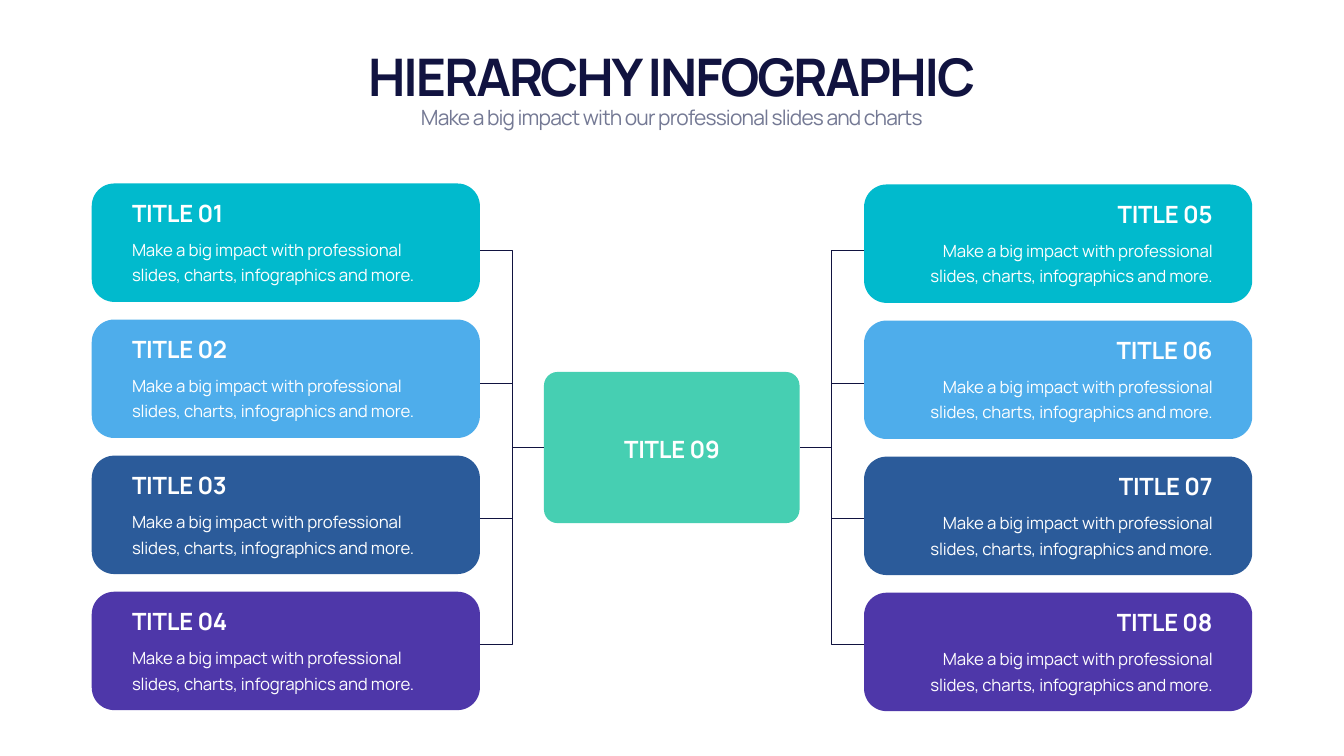
import pptx
import pptx.dml.color
import pptx.enum.shapes
import pptx.enum.text
import pptx.oxml.xmlchemy
import pptx.util
from lxml import etree
from pptx.oxml import ns

Inches = pptx.util.Inches
Pt = pptx.util.Pt
RGBColor = pptx.dml.color.RGBColor
Align = pptx.enum.text.PP_ALIGN
Anchor = pptx.enum.text.MSO_ANCHOR

FONT = "Manrope"
NAVY = RGBColor(0x11, 0x13, 0x40)
GRAY = RGBColor(0x74, 0x79, 0x94)
WHITE = RGBColor(0xFF, 0xFF, 0xFF)
GREEN = RGBColor(0x46, 0xCF, 0xB2)
CARD_COLORS = [
    RGBColor(0x01, 0xBA, 0xCD),
    RGBColor(0x4E, 0xAD, 0xEB),
    RGBColor(0x2B, 0x5B, 0x9A),
    RGBColor(0x4E, 0x37, 0xA9),
]
CARD_TEXT = "Make a big impact with professional slides, charts, infographics and more."
CARD_WIDTH, CARD_HEIGHT, CARD_PITCH = 7.7, 2.35, 2.7
BRACKET_TOP, BRACKET_BOTTOM = 4.97, 12.79
BRANCH_LEVELS = [7.61, 10.28]
CENTER_LEVEL = 8.88


def write_text(slide, text, box, shape=None, size=34, color=WHITE, bold=False, align=Align.LEFT,
               anchor=Anchor.MIDDLE, spacing=-0.3, line_spacing=None, inset=0):
    """Write one paragraph in a new text box, or in the given shape, placed at box."""
    left, top, width, height = map(Inches, box)
    if shape is None:
        shape = slide.shapes.add_textbox(left, top, width, height)
    shape.left, shape.top, shape.width, shape.height = left, top, width, height
    frame = shape.text_frame
    frame.word_wrap = True
    frame.auto_size = pptx.enum.text.MSO_AUTO_SIZE.NONE
    frame.vertical_anchor = anchor
    frame.margin_top = frame.margin_bottom = Inches(inset)
    paragraph = frame.paragraphs[0]
    paragraph.alignment = align
    if line_spacing:
        paragraph.line_spacing = Pt(line_spacing)
    run = paragraph.add_run()
    run.text = text
    run.font.name = FONT
    run.font.size = Pt(size)
    run.font.bold = bold
    run.font.color.rgb = color
    run.font._element.set("spc", str(round(spacing * 100)))


def add_panel(slide, box, color, rounding):
    """Add a filled rounded rectangle and return it."""
    shape = slide.shapes.add_shape(
        pptx.enum.shapes.MSO_SHAPE.ROUNDED_RECTANGLE, *map(Inches, box))
    shape.adjustments[0] = rounding
    shape.shadow.inherit = False
    shape.fill.solid()
    shape.fill.fore_color.rgb = color
    shape.line.fill.background()
    return shape


def style_line(shape):
    """Give a connector or outline the thin navy stroke."""
    shape.line.color.rgb = NAVY
    shape.line.width = Pt(1)


def add_line(slide, start_x, end_x, level):
    """Add a horizontal connector and return it."""
    connector = slide.shapes.add_connector(
        pptx.enum.shapes.MSO_CONNECTOR.STRAIGHT,
        Inches(start_x), Inches(level), Inches(end_x), Inches(level))
    style_line(connector)
    etree.SubElement(connector._element.spPr, ns.qn("a:effectLst"))
    return connector


def add_header(slide, box):
    """Fill the title placeholder and add the subtitle below it."""
    left, top, width, height = box
    write_text(slide, "HIERARCHY INFOGRAPHIC", box, shape=slide.shapes.title, size=74,
               color=NAVY, bold=True, align=Align.CENTER, spacing=-2.9)
    write_text(slide, "Make a big impact with our professional slides and charts",
               (left, top + 1.25, width, 0.61), size=30, color=GRAY, align=Align.CENTER,
               anchor=Anchor.TOP, spacing=-1.2)


def add_center(slide, box):
    """Add the central panel with its label and return the panel."""
    left, top, width, height = box
    panel = add_panel(slide, box, GREEN, 0.09)
    write_text(slide, "TITLE 09", (left + 0.29, top + 1.19, width - 0.57, 0.67),
               bold=True, align=Align.CENTER)
    return panel


def add_card(slide, box, number, color, align):
    """Add one coloured card with its heading and description."""
    left, top, width, height = box
    add_panel(slide, box, color, 0.19)
    write_text(slide, f"TITLE {number:02}", (left + 0.7, top + 0.25, width - 1.39, 0.67),
               bold=True, align=align)
    write_text(slide, CARD_TEXT, (left + 0.7, top + 0.97, width - 1.39, 1.09), size=24,
               align=align, anchor=Anchor.TOP, spacing=-0.2, line_spacing=36, inset=0.05)


def add_column(slide, left, top, first_number, align):
    """Stack four cards downward from the given corner."""
    for index, color in enumerate(CARD_COLORS):
        box = (left, top + index * CARD_PITCH, CARD_WIDTH, CARD_HEIGHT)
        add_card(slide, box, first_number + index, color, align)


def add_bracket(slide, card_x, trunk_x, center_x, center, site):
    """Join a column of cards to the given side of the central panel."""
    corners = [(trunk_x, BRACKET_BOTTOM), (trunk_x, BRACKET_TOP), (card_x, BRACKET_TOP)]
    builder = slide.shapes.build_freeform(Inches(card_x), Inches(BRACKET_BOTTOM))
    builder.add_line_segments([(Inches(x), Inches(y)) for x, y in corners], close=False)
    bracket = builder.convert_to_shape()
    bracket.shadow.inherit = False
    bracket.fill.background()
    style_line(bracket)
    for level in BRANCH_LEVELS:
        add_line(slide, card_x, trunk_x, level)
    add_line(slide, trunk_x, center_x, CENTER_LEVEL).end_connect(center, site)


def main():
    """Build the hierarchy slide and save it."""
    presentation = pptx.Presentation()
    presentation.slide_width = Inches(26.66)
    presentation.slide_height = Inches(15)
    slide = presentation.slides.add_slide(presentation.slide_layouts[5])
    add_header(slide, (1.66, 0.82, 23.33, 1.35))
    center = add_center(slide, (10.79, 7.38, 5.07, 3))
    add_column(slide, 1.82, 3.64, 1, Align.LEFT)
    add_column(slide, 17.14, 3.66, 5, Align.RIGHT)
    add_bracket(slide, 9.52, 10.16, 10.79, center, 1)
    add_bracket(slide, 17.14, 16.5, 15.86, center, 3)
    presentation.save("out.pptx")


if __name__ == "__main__":
    main()
